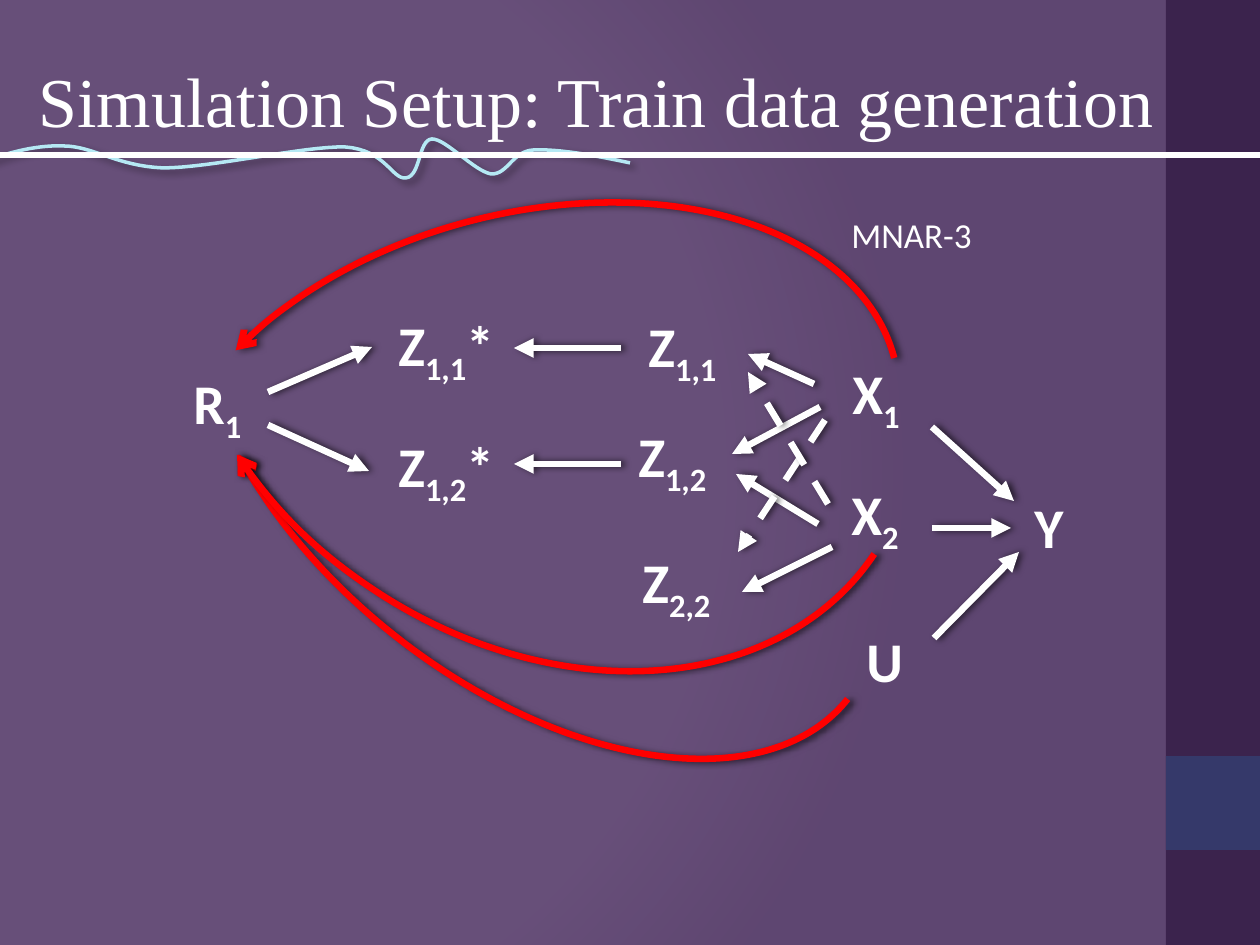
from lxml import etree
from pptx import Presentation
from pptx import util as u
from pptx.dml.color import RGBColor
from pptx.enum import dml, shapes, text
from pptx.oxml import parse_xml
from pptx.oxml.ns import nsdecls, qn

SCALE = 914400 / 126
COLORS = {
    "white": "FFFFFF", "edge": "DADADA", "black": "000000", "side": "464646",
    "accent": "2DA2BF", "veil": "381850", "wave": "B5E9F4", "red": "FF0000",
}
NODE = {"size": u.Pt(32), "name": "Calibri", "bold": True}
LABEL = {"size": u.Pt(20), "name": "Calibri"}
TITLE = {"size": u.Pt(40), "name": "Times New Roman"}

# Left, top, width, wrap, then runs; a run starting with "_" is a subscript.
NODES = [
    (1022, 486, 55, False, ["Y"]),
    (854, 620, 62, False, ["U"]),
    (840, 352, 76, False, ["X", "_1"]),
    (839, 473, 87, True, ["X", "_2"]),
    (626, 415, 115, True, ["Z", "_1,2"]),
    (630, 541, 100, True, ["Z", "_2,2"]),
    (636, 305, 107, True, ["Z", "_1,1"]),
    (181, 362, 83, True, ["R", "_1"]),
    (386, 304, 129, True, ["Z", "_1,1", "*"]),
    (386, 425, 129, True, ["Z", "_1,2", "*"]),
]
ARROWS = [
    (932, 427, 1014, 501), (932, 528, 1011, 528), (934, 638, 1019, 552),
    (814, 384, 748, 354), (820, 407, 732, 454), (818, 524, 736, 474),
    (832, 547, 742, 592), (621, 464, 514, 464), (621, 348, 514, 348),
    (268, 392, 372, 347), (268, 425, 369, 471),
]
DASHED_ARROWS = [(825, 420, 738, 552), (828, 504, 748, 372)]
# Box, rotation, end of the arc, flipped vertically
ARCS = [
    ((307, 60, 462, 789), 128.3, 31.04, False),
    ((290, 77, 480, 753), 255.3, 33.58, True),
    ((236, -64, 615, 795), 123.7, 20.83, False),
]
WAVE_START = (-21, 163)
WAVE_CURVES = [
    ((5, 154), (33, 145), (63, 146)),
    ((93, 146), (116, 166), (163, 168)),
    ((210, 168), (305, 146), (345, 147)),
    ((386, 150), (392, 180), (406, 178)),
    ((421, 176), (418, 140), (432, 139)),
    ((446, 139), (474, 171), (491, 174)),
    ((508, 175), (512, 151), (534, 150)),
    ((558, 149), (593, 155), (630, 163)),
]


def px(*values):
    return [round(value * SCALE) for value in values]


def rgb(name):
    return RGBColor.from_string(COLORS[name])


def style_line(item, color, width):
    item.line.color.rgb = rgb(color)
    item.line.width = u.Pt(width)


def add_effects(item, shadow=None):
    """Replace the theme shadow by (opacity, blur, distance, angle), or by none."""
    effects = etree.SubElement(item._element.spPr, qn("a:effectLst"))
    if shadow:
        opacity, blur, distance, angle = shadow
        outer = etree.SubElement(
            effects, qn("a:outerShdw"), blurRad=str(u.Pt(blur)),
            dist=str(u.Pt(distance)), dir=str(angle * 60000), rotWithShape="0")
        color = etree.SubElement(outer, qn("a:srgbClr"), val=COLORS["black"])
        etree.SubElement(color, qn("a:alpha"), val=str(opacity * 1000))


def add_head(item, kind):
    etree.SubElement(item.line._get_or_add_ln(), qn("a:tailEnd"), type=kind)


def set_background(page):
    stops = "".join(
        f'<a:gs pos="{pos}000"><a:srgbClr val="{COLORS[name]}"/></a:gs>'
        for pos, name in [(0, "white"), (75, "white"), (100, "edge")])
    page._element.cSld.insert(0, parse_xml(
        f'<p:bg {nsdecls("p", "a")}><p:bgPr><a:gradFill rotWithShape="1">'
        f'<a:gsLst>{stops}</a:gsLst><a:path path="circle">'
        '<a:fillToRect l="20000" t="50000" r="100000" b="50000"/></a:path>'
        '</a:gradFill><a:effectLst/></p:bgPr></p:bg>'))


def add_panel(page, box, color, opacity=100):
    panel = page.shapes.add_shape(shapes.MSO_SHAPE.RECTANGLE, *px(*box))
    panel.shadow.inherit = False
    panel.fill.solid()
    panel.fill.fore_color.rgb = rgb(color)
    panel.line.fill.background()
    if opacity < 100:
        fill = panel._element.spPr.find(qn("a:solidFill"))
        etree.SubElement(fill[0], qn("a:alpha"), val=str(opacity * 1000))


def add_text(page, box, runs, font, wrap=True):
    frame = page.shapes.add_textbox(*px(*box)).text_frame
    frame.word_wrap = wrap
    frame.auto_size = text.MSO_AUTO_SIZE.SHAPE_TO_FIT_TEXT
    for run in runs:
        span = frame.paragraphs[0].add_run()
        span.text = run.lstrip("_")
        span.font.color.rgb = rgb("white")
        for key, value in font.items():
            setattr(span.font, key, value)
        if run.startswith("_"):
            span._r.get_or_add_rPr().set("baseline", "-25000")
    return frame


def add_title(page):
    frame = add_text(page, (0, -6, 1166, 212),
                     ["Simulation Setup: Train data generation"], TITLE)
    frame.auto_size = text.MSO_AUTO_SIZE.NONE
    frame.vertical_anchor = text.MSO_ANCHOR.MIDDLE
    frame.paragraphs[0].alignment = text.PP_ALIGN.RIGHT


def add_line(page, ends, width):
    line = page.shapes.add_connector(shapes.MSO_CONNECTOR.STRAIGHT, *px(*ends))
    style_line(line, "white", width)
    return line


def add_arrow(page, ends, dashed=False):
    arrow = add_line(page, ends, 3.75)
    if dashed:
        arrow.line.dash_style = dml.MSO_LINE.DASH
    add_head(arrow, "triangle")
    add_effects(arrow, (60, 4, 2, 0))


def add_arc(page, box, rotation, end, flipped):
    arc = page.shapes.add_shape(shapes.MSO_SHAPE.ARC, *px(*box))
    arc.rotation = rotation
    arc.adjustments[0], arc.adjustments[1] = 162, end
    if flipped:
        arc._element.spPr.find(qn("a:xfrm")).set("flipV", "1")
    arc.fill.background()
    style_line(arc, "red", 3.75)
    add_head(arc, "arrow")
    add_effects(arc, (60, 4, 2, 0))


def bezier(points, t):
    weights = ((1 - t) ** 3, 3 * t * (1 - t) ** 2, 3 * t * t * (1 - t), t ** 3)
    return tuple(sum(w * v for w, v in zip(weights, axis)) for axis in zip(*points))


def add_wave(page, steps=16):
    points, start = [], WAVE_START
    for curve in WAVE_CURVES:
        points += [bezier((start, *curve), i / steps) for i in range(1, steps + 1)]
        start = curve[-1]
    builder = page.shapes.build_freeform(*px(*WAVE_START))
    builder.add_line_segments([px(*point) for point in points], close=False)
    wave = builder.convert_to_shape()
    wave.fill.background()
    style_line(wave, "wave", 2)
    add_effects(wave, (40, 4, 3, 45))


def main():
    deck = Presentation()
    deck.slide_width, deck.slide_height = px(1260, 945)
    page = deck.slides.add_slide(deck.slide_layouts[6])
    set_background(page)
    add_panel(page, (1166, 0, 94, 945), "side")
    add_panel(page, (1166, 756, 94, 94), "accent")
    add_panel(page, (-8, 0, 1268, 945), "veil", 76)
    for left, top, width, wrap, runs in NODES:
        add_text(page, (left, top, width, 81), runs, NODE, wrap)
    add_text(page, (839, 207, 147, 55), ["MNAR-3"], LABEL, wrap=False)
    for ends in ARROWS:
        add_arrow(page, ends)
    for ends in DASHED_ARROWS:
        add_arrow(page, ends, dashed=True)
    add_wave(page)
    add_effects(add_line(page, (1343, 155, -35, 155), 3))
    add_title(page)
    for arc in ARCS:
        add_arc(page, *arc)
    deck.save("out.pptx")


if __name__ == "__main__":
    main()
